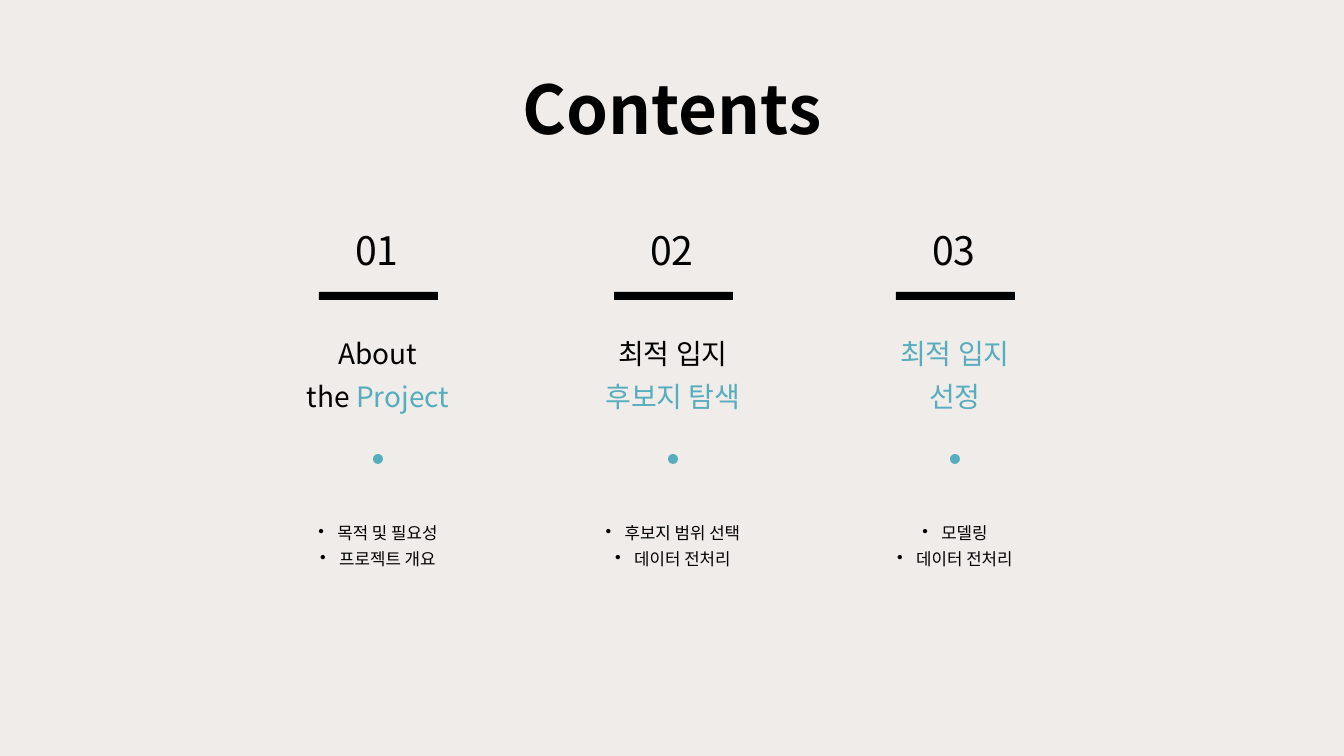
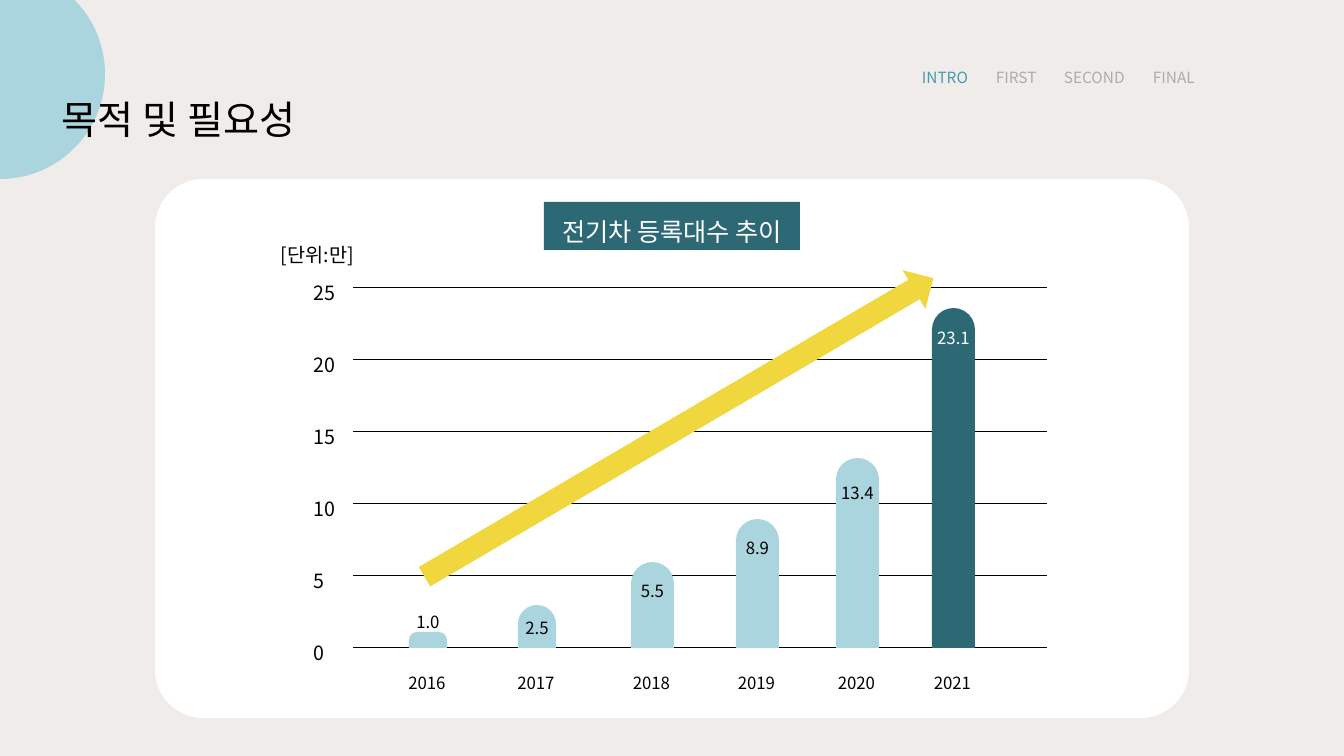
from pptx import Presentation
from pptx.dml.color import RGBColor
from pptx.enum.shapes import MSO_CONNECTOR, MSO_SHAPE
from pptx.enum.text import MSO_ANCHOR, PP_ALIGN
from pptx.oxml.ns import qn
from pptx.util import Emu, Pt
from lxml.etree import SubElement

COLORS = {
    "paper": "F0ECE9", "black": "000000", "white": "FFFFFF", "teal": "56ADBE",
    "pale": "AAD5DE", "deep": "2D6975", "yellow": "F0D73E",
    "active": "449CAF", "grey": "AFABAB",
}
FONT = "Noto Sans CJK KR"
SCALE = 914400 / 100.8
WIDE, HIGH = 1344, 756

# centre, heading lines made of (text, colour) runs, bullets
TOPICS = [
    (378, [[("About", "black")], [("the", "black"), (" Project", "teal")]],
     ["목적 및 필요성", "프로젝트 개요"]),
    (673, [[("최적 입지", "black")], [("후보지 탐색", "teal")]],
     ["후보지 범위 선택", "데이터 전처리"]),
    (955, [[("최적 입지", "teal")], [("선정", "teal")]],
     ["모델링", "데이터 전처리"]),
]
# label, left edge, colour
TABS = [("INTRO", 912, "active"), ("FIRST", 986, "grey"),
        ("SECOND", 1054, "grey"), ("FINAL", 1143, "grey")]
# year, value, bar left, bar width, bar top, label offset, bar and label colours
BARS = [
    ("2016", "1.0", 409, 38, 632, -31, "pale", "black"),
    ("2017", "2.5", 518, 38, 605, 2, "pale", "black"),
    ("2018", "5.5", 631, 43, 562, 8, "pale", "black"),
    ("2019", "8.9", 736, 43, 519, 8, "pale", "black"),
    ("2020", "13.4", 836, 43, 458, 14, "pale", "black"),
    ("2021", "23.1", 932, 43, 308, 9, "deep", "white"),
]
TICKS = [0, 5, 10, 15, 20, 25]
BASE, STEP = 647, 72


def px(n):
    return Emu(round(n * SCALE))


def tint(name):
    return RGBColor.from_string(COLORS[name])


def write(shape, lines, size, align="l", space=1.3, bold=False, bullet=False):
    """Fill a shape with paragraphs, each a list of (text, colour) runs."""
    frame = shape.text_frame
    frame.word_wrap = True
    frame.vertical_anchor = MSO_ANCHOR.TOP
    style = {"size": Pt(size), "bold": bold, "name": FONT}
    for i, runs in enumerate(lines):
        para = frame.add_paragraph() if i else frame.paragraphs[0]
        para.alignment = PP_ALIGN.CENTER if align == "c" else PP_ALIGN.LEFT
        para.line_spacing = space
        if bullet:
            props = para._p.get_or_add_pPr()
            props.set("marL", str(px(19)))
            props.set("indent", str(-px(19)))
            SubElement(props, qn("a:buChar")).set("char", "•")
        for text, color in runs:
            run = para.add_run()
            run.text = text
            for key, value in style.items():
                setattr(run.font, key, value)
            run.font.color.rgb = tint(color)
            east = SubElement(run._r.get_or_add_rPr(), qn("a:ea"))
            east.set("typeface", FONT)


def label(slide, box, lines, size, **look):
    write(slide.shapes.add_textbox(*map(px, box)), lines, size, **look)


def block(slide, kind, box, color):
    shape = slide.shapes.add_shape(kind, *map(px, box))
    shape.shadow.inherit = False
    shape.fill.solid()
    shape.fill.fore_color.rgb = tint(color)
    shape.line.fill.background()
    return shape


def rule(slide, left, right, y):
    line = slide.shapes.add_connector(
        MSO_CONNECTOR.STRAIGHT, px(left), px(y), px(right), px(y))
    line.line.color.rgb = tint("black")
    line.line.width = Pt(0.5)
    SubElement(line._element.spPr, qn("a:effectLst"))


def page(deck):
    slide = deck.slides.add_slide(deck.slide_layouts[6])
    slide.background.fill.solid()
    slide.background.fill.fore_color.rgb = tint("paper")
    return slide


def contents(deck):
    slide = page(deck)
    label(slide, (472, 62, 400, 92), [[("Contents", "black")]], 48,
          align="c", space=1.0, bold=True)
    for i, (mid, head, items) in enumerate(TOPICS, 1):
        left, width = mid - 120, 240
        label(slide, (left - 1, 221, width, 57), [[(f"{i:02}", "black")]], 28,
              align="c", space=1.0)
        block(slide, MSO_SHAPE.RECTANGLE, (mid - 59, 292, 119, 8), "black")
        label(slide, (left, 321, width, 96), head, 20, align="c")
        block(slide, MSO_SHAPE.OVAL, (mid - 5, 454, 10, 10), "teal")
        label(slide, (left, 512, width, 62), [[(t, "black")] for t in items],
              12, align="c", bullet=True)


def purpose(deck):
    slide = page(deck)
    block(slide, MSO_SHAPE.OVAL, (-105, -31, 210, 210), "pale")
    label(slide, (52, 76, 300, 68), [[("목적 및 필요성", "black")]], 28)
    card = block(slide, MSO_SHAPE.ROUNDED_RECTANGLE,
                 (155, 179, 1034, 539), "white")
    card.adjustments[0] = 0.09
    for text, left, color in TABS:
        label(slide, (left, 58, 100, 33), [[(text, color)]], 11)

    for i, tick in enumerate(TICKS):
        y = BASE - i * STEP
        rule(slide, 353, 1047, y)
        label(slide, (304, y - 18, 46, 39), [[(str(tick), "black")]], 14)
    label(slide, (271, 231, 149, 39), [[("[단위:만]", "black")]], 14)

    for year, value, left, width, top, drop, color, ink in BARS:
        bar = block(slide, MSO_SHAPE.ROUND_2_SAME_RECTANGLE,
                    (left, top, width, BASE + 1 - top), color)
        bar.adjustments[0] = 0.5
        side = left + width / 2 - 40
        label(slide, (side, top + drop, 80, 35), [[(value, ink)]], 12,
              align="c")
        label(slide, (side - 1, 662, 80, 35), [[(year, "black")]], 12,
              align="c")

    banner = block(slide, MSO_SHAPE.RECTANGLE, (544, 202, 256, 48), "deep")
    write(banner, [[("전기차 등록대수 추이", "white")]], 18, align="c")
    arrow = block(slide, MSO_SHAPE.RIGHT_ARROW, (384, 405, 590, 45), "yellow")
    arrow.rotation = 329.6


def main():
    deck = Presentation()
    deck.slide_width, deck.slide_height = px(WIDE), px(HIGH)
    contents(deck)
    purpose(deck)
    deck.save("out.pptx")


if __name__ == "__main__":
    main()
